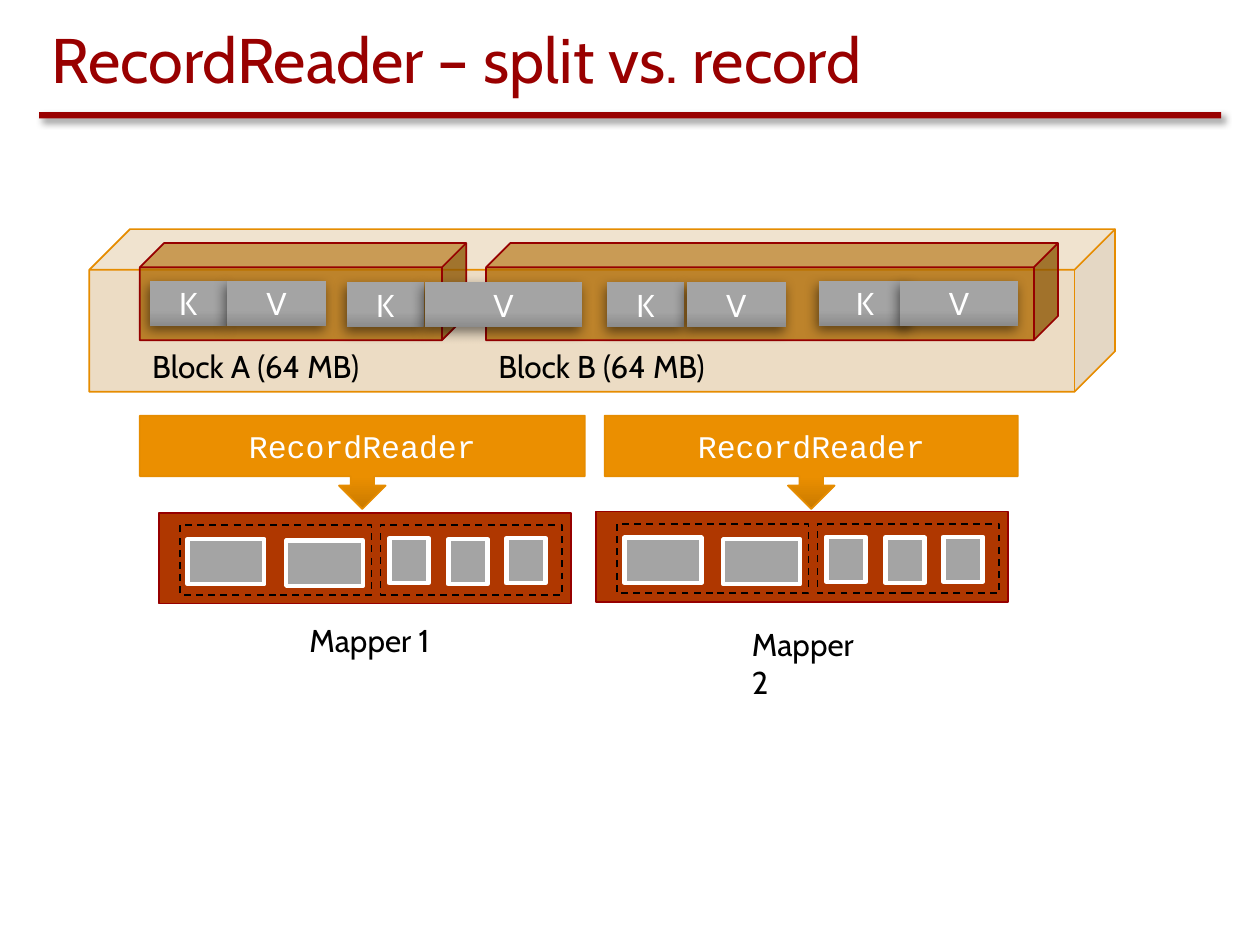
import dataclasses
import typing

import lxml.etree
import pptx
import pptx.dml.color
import pptx.enum.dml
import pptx.enum.shapes
import pptx.enum.text
import pptx.oxml.ns
import pptx.util

Cm = pptx.util.Cm
Pt = pptx.util.Pt
Kind = pptx.enum.shapes.MSO_SHAPE
Align = pptx.enum.text.PP_ALIGN
Anchor = pptx.enum.text.MSO_ANCHOR
qn = pptx.oxml.ns.qn

COLORS = {
    "title": "990000", "edge": "960000", "amber": "E68C00", "block": "B06B00",
    "reader": "EB8F00", "reader_dark": "C97A00", "record": "A4A4A4",
    "record_dark": "8C8C8C", "mapper": "AF3700", "white": "FFFFFF", "black": "000000",
}


@dataclasses.dataclass(frozen=True)
class Area:
    left: float
    top: float
    width: float
    height: float

    def lengths(self) -> list:
        return [Cm(value) for value in dataclasses.astuple(self)]


@dataclasses.dataclass(frozen=True)
class Shadow:
    alpha: int
    blur: float
    distance: float
    angle: int


@dataclasses.dataclass(frozen=True)
class Record:
    top: float
    key_left: float
    key_width: float
    value_left: float
    value_width: float


@dataclasses.dataclass(frozen=True)
class Mapper:
    name: str
    left: float
    top: float
    label_left: float
    label_top: float


BAR_SHADOW = Shadow(43, 4, 3, 45)
RECORD_SHADOW = Shadow(50, 7, 3, 110)
BLOCKS = [("Block A (64 MB)", 2.82, 6.58), ("Block B (64 MB)", 9.8, 11.53)]
RECORDS = [
    Record(5.66, 3.02, 1.55, 4.57, 2.01),
    Record(5.69, 6.99, 1.55, 8.56, 3.18),
    Record(5.69, 12.24, 1.55, 13.84, 2.01),
    Record(5.66, 16.51, 1.85, 18.14, 2.39),
]
READERS = [(2.82, 8.97), (12.19, 8.33)]
MAPPERS = [
    Mapper("Mapper 1", 3.2, 10.34, 5.99, 12.4),
    Mapper("Mapper 2", 12.01, 10.31, 14.91, 12.47),
]
CELLS = [(0.58, 0.53, 1.55), (2.57, 0.56, 1.55),
         (4.65, 0.51, 0.79), (5.84, 0.53, 0.79), (7.01, 0.51, 0.79)]
GROUPS = [(0.43, 3.86), (4.47, 3.66)]


def rgb(name: str) -> pptx.dml.color.RGBColor:
    return pptx.dml.color.RGBColor.from_string(COLORS[name])


def write(box, text: str, *, size: float = 18, font: str = "Cabin",
          color: str = "black", align=Align.LEFT, anchor=Anchor.TOP) -> None:
    frame = box.text_frame
    frame.word_wrap = True
    frame.vertical_anchor = anchor
    para = frame.paragraphs[0]
    para.alignment = align
    span = para.add_run()
    span.text = text
    span.font.size = Pt(size)
    span.font.name = font
    span.font.color.rgb = rgb(color)


def add_shadow(box, shadow: Shadow) -> None:
    effects = box._element.spPr.find(qn("a:effectLst"))
    outer = lxml.etree.SubElement(
        effects, qn("a:outerShdw"), blurRad=str(Pt(shadow.blur)),
        dist=str(Pt(shadow.distance)), dir=str(shadow.angle * 60000),
        algn="tl", rotWithShape="0")
    color = lxml.etree.SubElement(outer, qn("a:srgbClr"), val=COLORS["black"])
    lxml.etree.SubElement(color, qn("a:alpha"), val=str(shadow.alpha * 1000))


def draw(page, kind, area: Area, *, fill: typing.Optional[str] = None,
         dark: typing.Optional[str] = None, opacity: int = 100,
         line: typing.Optional[str] = None, weight: float = 1,
         dashed: bool = False, shadow: typing.Optional[Shadow] = None):
    box = page.shapes.add_shape(kind, *area.lengths())
    box.shadow.inherit = False
    if fill is None:
        box.fill.background()
    elif dark:
        box.fill.gradient()
        box.fill.gradient_angle = 90
        for stop, color, position in zip(box.fill.gradient_stops, (dark, fill), (0, 0.35)):
            stop.color.rgb = rgb(color)
            stop.position = position
    else:
        box.fill.solid()
        box.fill.fore_color.rgb = rgb(fill)
        if opacity < 100:
            color = box._element.spPr.find(qn("a:solidFill")).find(qn("a:srgbClr"))
            lxml.etree.SubElement(color, qn("a:alpha"), val=str(opacity * 1000))
    if line is None:
        box.line.fill.background()
    else:
        box.line.color.rgb = rgb(line)
        box.line.width = Pt(weight)
        if dashed:
            box.line.dash_style = pptx.enum.dml.MSO_LINE.DASH
    if shadow:
        add_shadow(box, shadow)
    return box


def add_label(page, text: str, area: Area) -> None:
    box = page.shapes.add_textbox(*area.lengths())
    write(box, text)
    box.text_frame.auto_size = pptx.enum.text.MSO_AUTO_SIZE.SHAPE_TO_FIT_TEXT


def add_title(page) -> None:
    draw(page, Kind.RECTANGLE, Area(0.79, 2.26, 23.83, 0.13), fill="title", shadow=BAR_SHADOW)
    title = page.shapes.title
    title.left, title.top, title.width, title.height = Area(0.79, 0.36, 23.83, 1.7).lengths()
    write(title, "RecordReader – split vs. record", size=36, color="title", anchor=Anchor.BOTTOM)
    title.text_frame.auto_size = pptx.enum.text.MSO_AUTO_SIZE.NONE


def add_record(page, record: Record) -> None:
    parts = [("K", record.key_left, record.key_width),
             ("V", record.value_left, record.value_width)]
    for text, left, width in parts:
        box = draw(page, Kind.RECTANGLE, Area(left, record.top, width, 0.91),
                   fill="record", dark="record_dark", shadow=RECORD_SHADOW)
        write(box, text, color="white", align=Align.CENTER, anchor=Anchor.MIDDLE)


def add_reader(page, left: float, width: float) -> None:
    box = draw(page, Kind.DOWN_ARROW_CALLOUT, Area(left, 8.38, width, 1.88),
               fill="reader", dark="reader_dark", line="amber")
    write(box, "RecordReader", font="Courier New", color="white",
          align=Align.CENTER, anchor=Anchor.MIDDLE)


def add_mapper(page, mapper: Mapper) -> None:
    draw(page, Kind.RECTANGLE, Area(mapper.left, mapper.top, 8.31, 1.83),
         fill="mapper", line="edge")
    for left, top, width in CELLS:
        draw(page, Kind.RECTANGLE, Area(mapper.left + left, mapper.top + top, width, 0.91),
             fill="record", line="white", weight=2.5)
    for left, width in GROUPS:
        draw(page, Kind.RECTANGLE, Area(mapper.left + left, mapper.top + 0.25, width, 1.4),
             line="black", dashed=True)
    add_label(page, mapper.name, Area(mapper.label_left, mapper.label_top, 2.97, 1.02))


def main() -> None:
    deck = pptx.Presentation()
    deck.slide_width, deck.slide_height = Cm(25.4), Cm(19.05)
    page = deck.slides.add_slide(deck.slide_layouts.get_by_name("Title Only"))
    add_title(page)
    draw(page, Kind.CUBE, Area(1.8, 4.62, 20.68, 3.28), fill="block", opacity=23, line="amber")
    for text, left, width in BLOCKS:
        draw(page, Kind.CUBE, Area(left, 4.9, width, 1.96), fill="block", opacity=78, line="edge")
        add_label(page, text, Area(left, 6.88, 4.78, 1.02))
    for record in RECORDS:
        add_record(page, record)
    for left, width in READERS:
        add_reader(page, left, width)
    for mapper in MAPPERS:
        add_mapper(page, mapper)
    deck.save("out.pptx")


if __name__ == "__main__":
    main()
